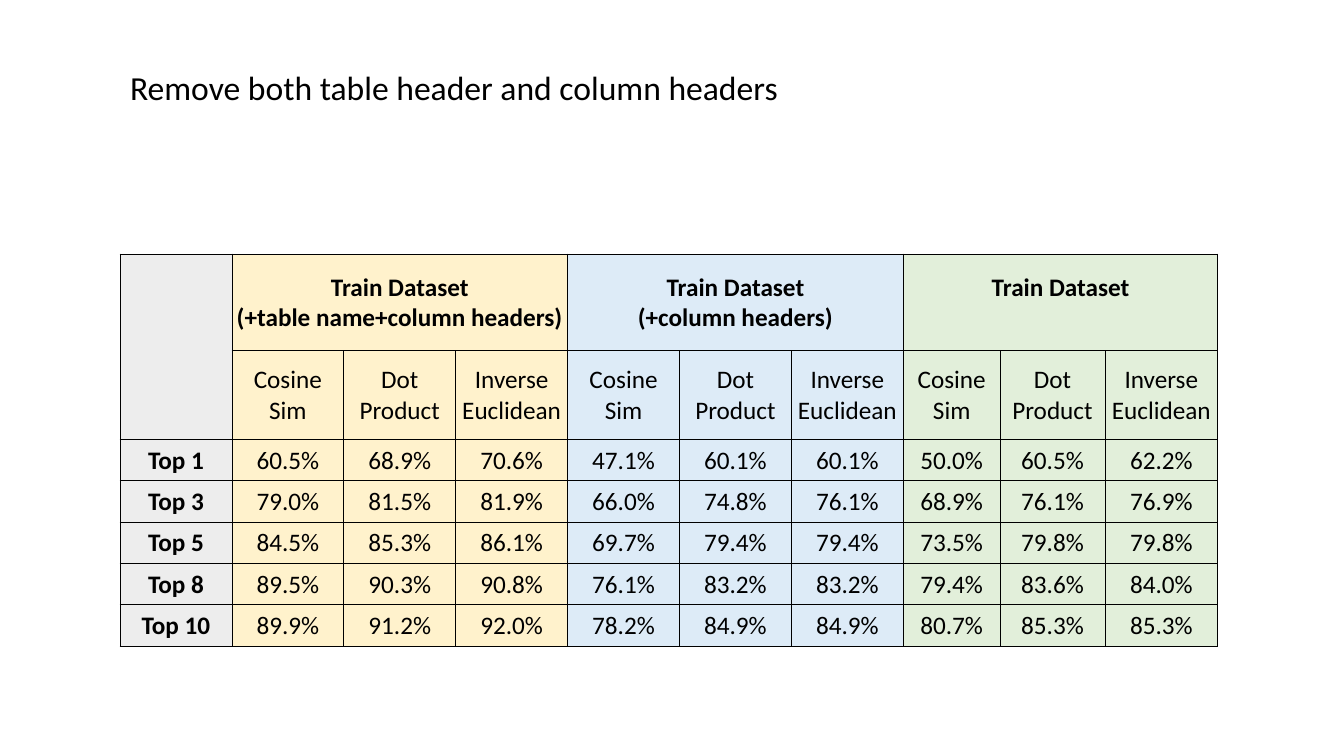
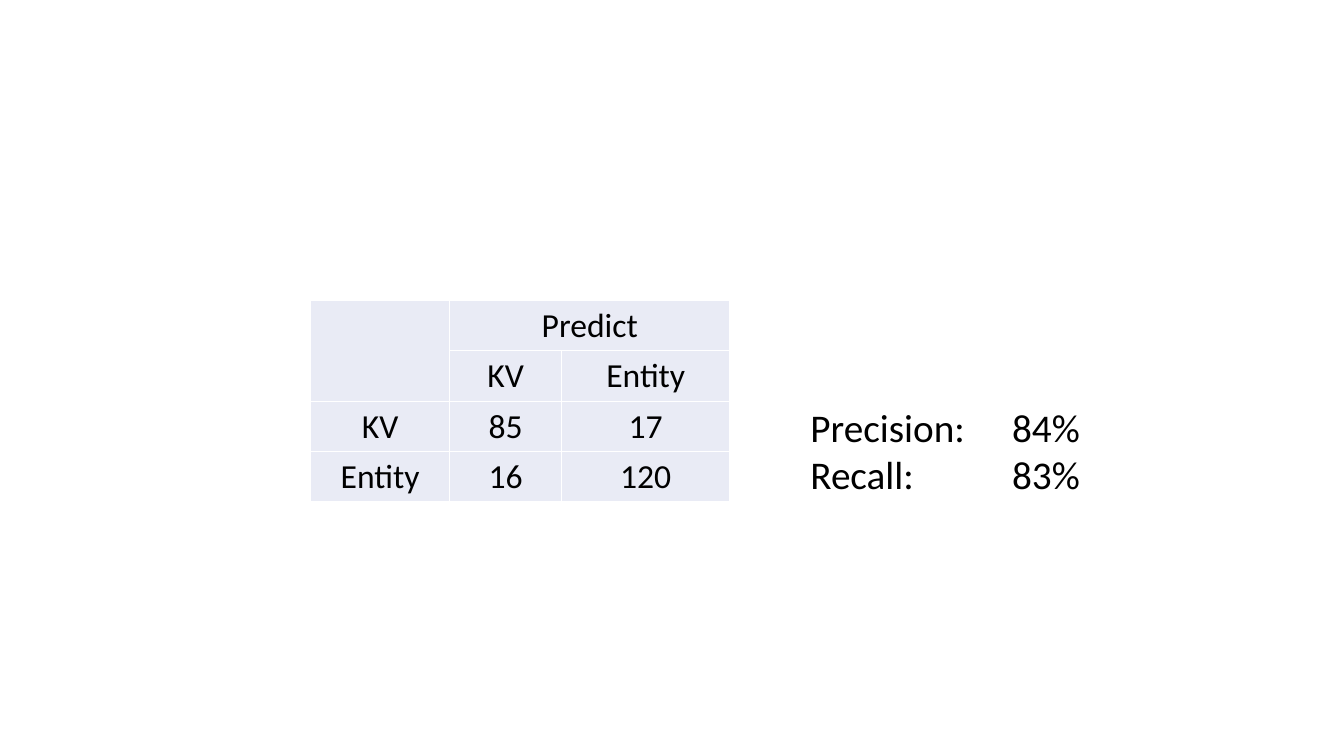
"""Build two slides with retrieval accuracy and confusion tables."""
import pptx
import pptx.dml.color
import pptx.enum.text
import pptx.oxml
import pptx.oxml.ns
import pptx.util

Inches = pptx.util.Inches
Pt = pptx.util.Pt
RGBColor = pptx.dml.color.RGBColor
PP_ALIGN = pptx.enum.text.PP_ALIGN
MSO_ANCHOR = pptx.enum.text.MSO_ANCHOR

FONT = "Calibri"
BLACK = RGBColor(0x00, 0x00, 0x00)
WHITE = RGBColor(0xFF, 0xFF, 0xFF)
GREY = RGBColor(0xED, 0xED, 0xED)
YELLOW = RGBColor(0xFF, 0xF2, 0xCC)
BLUE = RGBColor(0xDD, 0xEB, 0xF7)
GREEN = RGBColor(0xE2, 0xEF, 0xDA)
LAVENDER = RGBColor(0xE9, 0xEB, 0xF5)

TITLE_ONLY, BLANK = 5, 6
CELL_INSET = 0.02
METRICS = ["Cosine Sim", "Dot Product", "Inverse Euclidean"]
ACCURACY = [
    ("Top 1", "60.5% 68.9% 70.6% 47.1% 60.1% 60.1% 50.0% 60.5% 62.2%"),
    ("Top 3", "79.0% 81.5% 81.9% 66.0% 74.8% 76.1% 68.9% 76.1% 76.9%"),
    ("Top 5", "84.5% 85.3% 86.1% 69.7% 79.4% 79.4% 73.5% 79.8% 79.8%"),
    ("Top 8", "89.5% 90.3% 90.8% 76.1% 83.2% 83.2% 79.4% 83.6% 84.0%"),
    ("Top 10", "89.9% 91.2% 92.0% 78.2% 84.9% 84.9% 80.7% 85.3% 85.3%"),
]


def add_run(p, text, size, bold=False):
    """Append a run in the shared font."""
    r = p.add_run()
    r.text = text
    r.font.name = FONT
    r.font.size = Pt(size)
    r.font.bold = bold
    r.font.color.rgb = BLACK


def add_title(slide, text, left, top, width, height):
    """Place and format the title placeholder."""
    sp = slide.shapes.title
    sp.left, sp.top = Inches(left), Inches(top)
    sp.width, sp.height = Inches(width), Inches(height)
    tf = sp.text_frame
    tf.auto_size = pptx.enum.text.MSO_AUTO_SIZE.NONE
    tf.vertical_anchor = MSO_ANCHOR.TOP
    p = tf.paragraphs[0]
    p.alignment = PP_ALIGN.LEFT
    add_run(p, text, 24)


def add_scores(slide, scores, left, top, width, height):
    """Add label and value lines aligned on a tab stop."""
    sp = slide.shapes.add_textbox(*map(Inches, (left, top, width, height)))
    tf = sp.text_frame
    tf.word_wrap = True
    for i, (label, value) in enumerate(scores):
        p = tf.add_paragraph() if i else tf.paragraphs[0]
        tabs = pptx.oxml.parse_xml(
            f'<a:tabLst {pptx.oxml.ns.nsdecls("a")}>'
            f'<a:tab pos="{Inches(2)}" algn="l"/></a:tabLst>')
        p._p.get_or_add_pPr().append(tabs)
        add_run(p, f"{label}\t{value}", 28)


def set_borders(cell, color, width):
    """Draw the four borders of a cell."""
    tc_pr = cell._tc.get_or_add_tcPr()
    for i, side in enumerate("LRTB"):
        line = pptx.oxml.parse_xml(
            f'<a:ln{side} {pptx.oxml.ns.nsdecls("a")} w="{Pt(width)}">'
            f'<a:solidFill><a:srgbClr val="{color}"/></a:solidFill></a:ln{side}>')
        tc_pr.insert(i, line)


def fill_cell(cell, text, size, bold, fill):
    """Set the fill, margins and centred text of a cell."""
    cell.fill.solid()
    cell.fill.fore_color.rgb = fill
    cell.vertical_anchor = MSO_ANCHOR.MIDDLE
    cell.margin_left = cell.margin_right = Inches(CELL_INSET)
    cell.margin_top, cell.margin_bottom = Inches(0.01), 0
    p = cell.text_frame.paragraphs[0]
    p.alignment = PP_ALIGN.CENTER
    for i, line in enumerate(text.split("\n") if text else []):
        if i:
            p.add_line_break()
        add_run(p, line, size, bold)


def add_grid(slide, left, top, widths, heights, rows, fills, size, border,
             merges, bold_heads=False):
    """Add a table with one fill per column and merged header cells."""
    frame = slide.shapes.add_table(
        len(rows), len(widths), Inches(left), Inches(top),
        Inches(sum(widths)), Inches(sum(heights)))
    table = frame.table
    table.first_row = table.horz_banding = False
    for column, width in zip(table.columns, widths):
        column.width = Inches(width)
    for row, height in zip(table.rows, heights):
        row.height = Inches(height)
    for y, row in enumerate(rows):
        for x, text in enumerate(row):
            cell = table.cell(y, x)
            fill_cell(cell, text, size, bold_heads and 0 in (x, y), fills[x])
            set_borders(cell, *border)
    for y, x, last_y, last_x in merges:
        table.cell(y, x).merge(table.cell(last_y, last_x))
    return table


def accuracy_slide(prs):
    """Build the accuracy comparison slide."""
    slide = prs.slides.add_slide(prs.slide_layouts[TITLE_ONLY])
    add_title(slide, "Remove both table header and column headers",
              1.19, 0.61, 6.94, 0.5)
    rows = [
        ["", "Train Dataset\n(+table name+column headers)", "", "",
         "Train Dataset\n(+column headers)", "", "", "Train Dataset", "", ""],
        [""] + METRICS * 3,
    ] + [[label] + values.split() for label, values in ACCURACY]
    table = add_grid(
        slide, 1.19, 2.52, [1.11] * 7 + [0.96, 1.04, 1.12],
        [0.96, 0.88] + [0.41] * len(ACCURACY), rows,
        [GREY] + [YELLOW] * 3 + [BLUE] * 3 + [GREEN] * 3, 18, (BLACK, 0.5),
        [(0, 0, 1, 0)] + [(0, x, 0, x + 2) for x in (1, 4, 7)], True)
    table.cell(0, 7).margin_bottom = Inches(0.3)


def confusion_slide(prs):
    """Build the confusion matrix slide."""
    slide = prs.slides.add_slide(prs.slide_layouts[BLANK])
    rows = [["", "Predict", ""], ["", "KV", "Entity"],
            ["KV", "85", "17"], ["Entity", "16", "120"]]
    add_grid(slide, 3.08, 2.98, [1.38, 1.11, 1.67], [0.5] * 4, rows,
             [LAVENDER] * 3, 24, (WHITE, 1), [(0, 0, 1, 0), (0, 1, 0, 2)])
    add_scores(slide, [("Precision:", "84%"), ("Recall:", "83%")],
               7.94, 3.95, 3.33, 1.04)


def main():
    """Create and save the presentation."""
    prs = pptx.Presentation()
    prs.slide_width, prs.slide_height = Inches(13.33), Inches(7.5)
    accuracy_slide(prs)
    confusion_slide(prs)
    prs.save("out.pptx")


if __name__ == "__main__":
    main()
